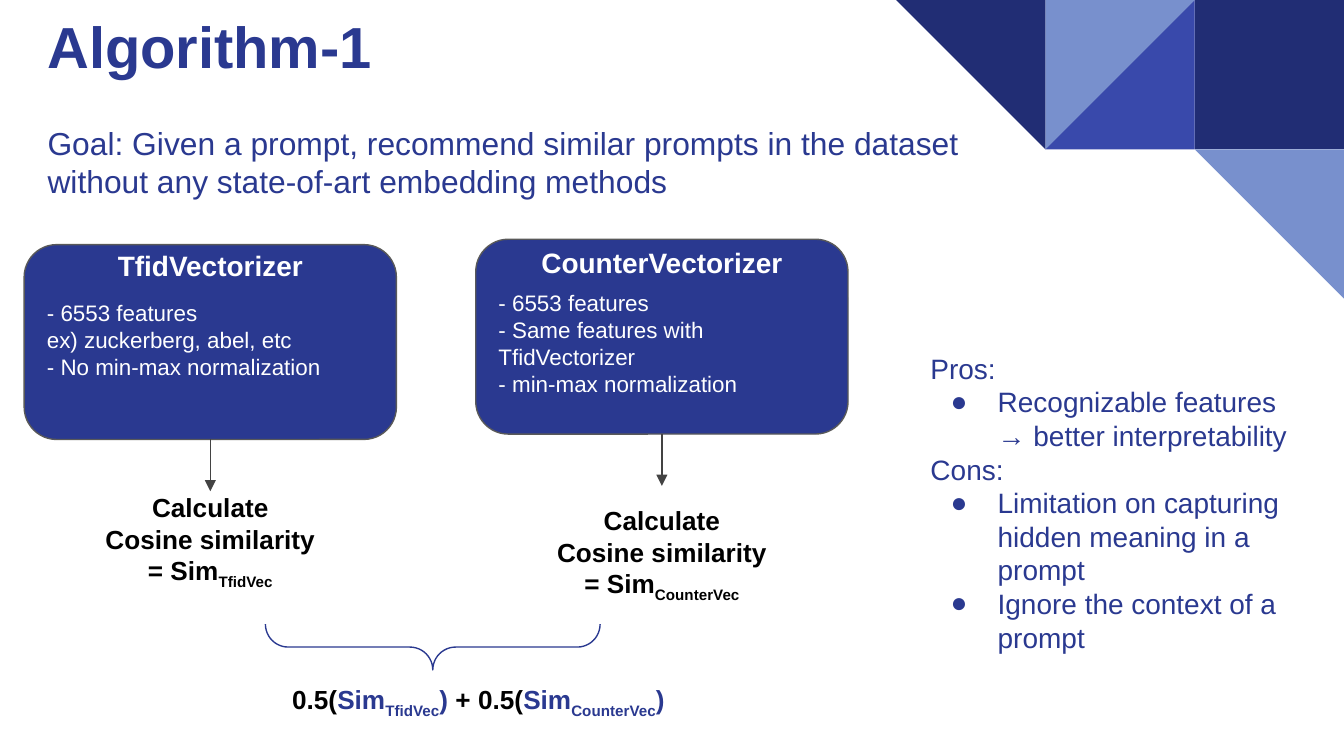
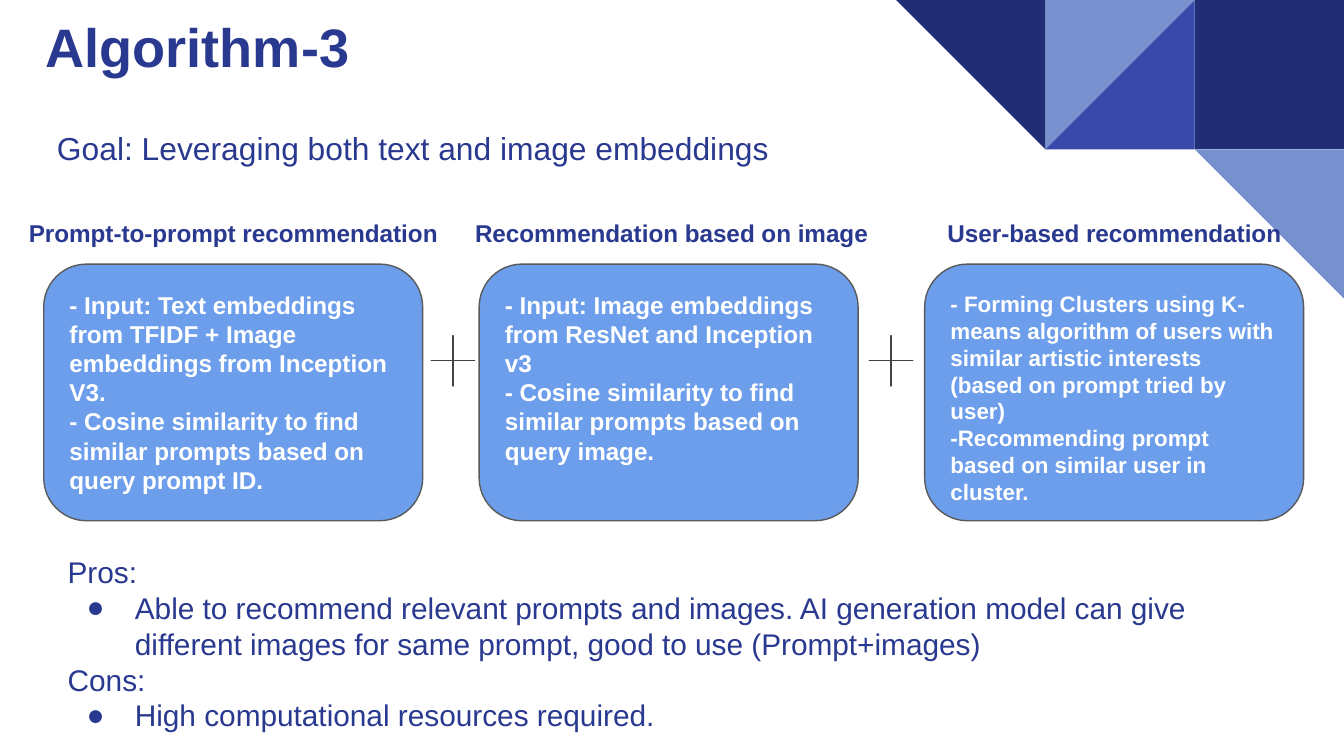
from collections import namedtuple

from lxml import etree
from pptx import Presentation
from pptx.dml.color import RGBColor
from pptx.enum.shapes import MSO_CONNECTOR, MSO_SHAPE as Shape
from pptx.enum.text import MSO_ANCHOR as Anchor, PP_ALIGN as Align
from pptx.oxml.ns import qn
from pptx.util import Inches, Pt

# A 16:9 slide; the grid has square cells, 100 columns across the slide.
SLIDE_WIDTH = Inches(10)
SLIDE_HEIGHT = SLIDE_WIDTH * 9 // 16
CELL = SLIDE_WIDTH / 100

FONT = "Arial"
NAVY, INDIGO, SKY = "212D74", "3949AB", "7890CD"
BLUE, CARD_BLUE, GREY = "2A3990", "6D9EEB", "999999"
WHITE, BLACK, EDGE, DARK = "FFFFFF", "000000", "595959", "434343"

Para = namedtuple("Para", "spans left hang", defaults=(0, 0))
Span = namedtuple("Span", "text color low", defaults=(None, False))


def rgb(code):
    return RGBColor.from_string(code)


def cells(*counts):
    return [round(count * CELL) for count in counts]


def add_bullet(para):
    properties = para._p.get_or_add_pPr()
    color = etree.SubElement(properties, qn("a:buClr"))
    etree.SubElement(color, qn("a:srgbClr"), val=BLUE)
    etree.SubElement(properties, qn("a:buFont"), typeface=FONT)
    etree.SubElement(properties, qn("a:buChar"), char="●")


def add_run(para, span, size, color, bold):
    run = para.add_run()
    run.text = span.text
    run.font.name, run.font.size, run.font.bold = FONT, Pt(size), bold
    run.font.color.rgb = rgb(span.color or color)
    if span.low:
        run._r.get_or_add_rPr().set("baseline", "-25000")


def write(box, paras, size, color=BLUE, bold=False, align=Align.LEFT,
          anchor=Anchor.TOP, top=1):
    """Fill a box with strings or Para items; top is the upper margin in cells."""
    frame = box.text_frame
    frame.word_wrap = True
    frame.vertical_anchor = anchor
    frame.margin_left = frame.margin_right = frame.margin_bottom = round(CELL)
    frame.margin_top = round(top * CELL)
    for index, item in enumerate(paras):
        if isinstance(item, str):
            item = Para([Span(item)])
        para = frame.add_paragraph() if index else frame.paragraphs[0]
        para.alignment = align
        if item.left:
            left, hang = cells(item.left, item.hang)
            properties = para._p.get_or_add_pPr()
            properties.set("marL", str(left))
            properties.set("indent", str(-hang))
            if hang:
                add_bullet(para)
        for span in item.spans:
            add_run(para, span, size, color, bold)


def add_text(page, place, paras, size, **style):
    box = page.shapes.add_textbox(*cells(*place))
    write(box, paras, size, **style)


def add_figure(page, kind, place, fill=None, line=None, adjust=(),
               turn=0, flip=False):
    figure = page.shapes.add_shape(kind, *cells(*place))
    figure.shadow.inherit = False
    for index, value in enumerate(adjust):
        figure.adjustments[index] = value
    if fill:
        figure.fill.solid()
        figure.fill.fore_color.rgb = rgb(fill)
    else:
        figure.fill.background()
    if line:
        figure.line.color.rgb = rgb(line)
        figure.line.width = Pt(0.75)
    else:
        figure.line.fill.background()
    figure.rotation = turn
    if flip:
        figure.element.spPr.find(qn("a:xfrm")).set("flipH", "1")
    return figure


def add_card(page, place, paras, size, fill, **style):
    card = add_figure(page, Shape.ROUNDED_RECTANGLE, place, fill, EDGE, (0.167,))
    write(card, paras, size, color=WHITE, **style)
    return card


def add_arrow_below(page, card, length):
    center, bottom = card.left + card.width // 2, card.top + card.height
    arrow = page.shapes.add_connector(
        MSO_CONNECTOR.STRAIGHT, center, bottom, center, bottom + cells(length)[0])
    arrow.begin_connect(card, 2)
    arrow.line.color.rgb = rgb(DARK)
    arrow.line.width = Pt(0.75)
    etree.SubElement(arrow.line._get_or_add_ln(), qn("a:tailEnd"), type="triangle")
    etree.SubElement(arrow._element.spPr, qn("a:effectLst"))


def add_corner(page):
    """Draw the triangle mosaic, a grid of ninths of the slide's width."""
    tile = 100 / 9
    triangle = Shape.RIGHT_TRIANGLE
    for kind, column, row, fill, turn, flip in (
            (Shape.RECTANGLE, 8, 0, NAVY, 0, False),
            (triangle, 7, 0, INDIGO, 0, True),
            (triangle, 7, 0, SKY, 180, True),
            (triangle, 6, 0, NAVY, 180, False),
            (triangle, 8, 1, SKY, 180, False)):
        place = (column * tile, row * tile, tile, tile)
        add_figure(page, kind, place, fill, turn=turn, flip=flip)


def start_page(deck, title, title_place, title_size, goal, goal_place):
    page = deck.slides.add_slide(deck.slide_layouts[6])
    add_corner(page)
    add_text(page, title_place, [title], title_size, bold=True,
             anchor=Anchor.MIDDLE)
    add_text(page, goal_place, goal, 17, anchor=Anchor.MIDDLE)
    return page


def bullet(text, hang=3.5):
    return Para([Span(text)], 5, hang)


def add_vectorizer(page, left, top, name, features, feature_top, heading_top,
                   short_name, formula_top):
    width, height, heading_width = 27.7, 14.5, 22.5
    card = add_card(page, (left, top, width, height), features, 12, BLUE,
                    top=feature_top)
    heading_left = left + (width - heading_width) / 2
    add_text(page, (heading_left, heading_top, heading_width, 4.5), [name], 15,
             color=WHITE, bold=True, align=Align.CENTER)
    add_arrow_below(page, card, 3.85)
    formula = Para([Span("= Sim"), Span(short_name, low=True)])
    add_text(page, (left, formula_top, width, 5),
             ["Calculate", "Cosine similarity", formula], 14,
             color=BLACK, bold=True, align=Align.CENTER)


def similarity(name):
    return [Span("Sim", BLUE), Span(name, BLUE, True), Span(")", BLUE)]


def build_vectorizer_page(deck):
    page = start_page(
        deck, "Algorithm-1", (2.55, 0, 60.6, 6.8), 31,
        ["Goal: Given a prompt, recommend similar prompts in the dataset",
         "without any state-of-art embedding methods"], (2.55, 8.2, 79.8, 7.7))
    add_text(page, (68.25, 25.15, 29.4, 24.7), [
        "Pros:",
        bullet("Recognizable features"),
        bullet("→ better interpretability", 0),
        "Cons:",
        bullet("Limitation on capturing hidden meaning in a prompt"),
        bullet("Ignore the context of a prompt")], 15)
    add_vectorizer(
        page, 1.8, 18.2, "TfidVectorizer",
        ["- 6553 features", "ex) zuckerberg, abel, etc",
         "- No min-max normalization"], 3.35, 17.5, "TfidVec", 35.6)
    add_vectorizer(
        page, 35.4, 17.8, "CounterVectorizer",
        ["- 6553 features", "- Same features with TfidVectorizer",
         "- min-max normalization"], 3, 17.25, "CounterVec", 36.55)
    add_figure(page, Shape.RIGHT_BRACE, (30.5, 35.7, 3.4, 24.9), line=BLUE,
               adjust=(0.5, 0.5), turn=90)
    total = Para([Span("0.5("), *similarity("TfidVec"),
                  Span(" + 0.5("), *similarity("CounterVec")])
    add_text(page, (16.8, 50.5, 37.6, 5.7), [total], 14, color=BLACK,
             bold=True, align=Align.CENTER, top=0.35)


def build_combined_page(deck):
    page = start_page(deck, "Algorithm-3", (2.4, 0, 74.8, 6.8), 29,
                      ["Goal: Leveraging both text and image embeddings"],
                      (3.25, 8.55, 59.1, 4.9))
    card_width = 28.2
    methods = (
        (3.25, 0.2, 34.3, "Prompt-to-prompt recommendation", 13,
         ["- Input: Text embeddings from TFIDF + Image embeddings from Inception V3.",
          "- Cosine similarity to find similar prompts based on query prompt ID."]),
        (35.65, 32.8, 34.3, "Recommendation based on image", 13,
         ["- Input: Image embeddings from ResNet and Inception v3",
          "- Cosine similarity to find similar prompts based on query image."]),
        (68.8, 68.8, 28.2, "User-based recommendation", 12,
         ["- Forming Clusters using K-means algorithm of users with similar "
          "artistic interests (based on prompt tried by user)",
          "-Recommending prompt based on similar user in cluster."]))
    for left, heading_left, heading_width, heading, size, steps in methods:
        add_card(page, (left, 19.65, card_width, 19.1), steps, size, CARD_BLUE,
                 bold=True)
        add_text(page, (heading_left, 15.2, heading_width, 4.2), [heading], 13,
                 bold=True, align=Align.CENTER)
    for left in (31.5, 64.1):
        add_figure(page, Shape.MATH_PLUS, (left, 24.3, 4.4, 5.1), GREY, DARK, (0,))
    add_text(page, (4.05, 40.2, 91.9, 15.5), [
        "Pros:",
        bullet("Able to recommend relevant prompts and images. AI generation model "
               "can give different images for same prompt, good to use "
               "(Prompt+images)", 3.6),
        "Cons:",
        bullet("High computational resources required.", 3.6)], 16)


def main():
    deck = Presentation()
    deck.slide_width, deck.slide_height = SLIDE_WIDTH, SLIDE_HEIGHT
    build_vectorizer_page(deck)
    build_combined_page(deck)
    deck.save("out.pptx")


if __name__ == "__main__":
    main()
